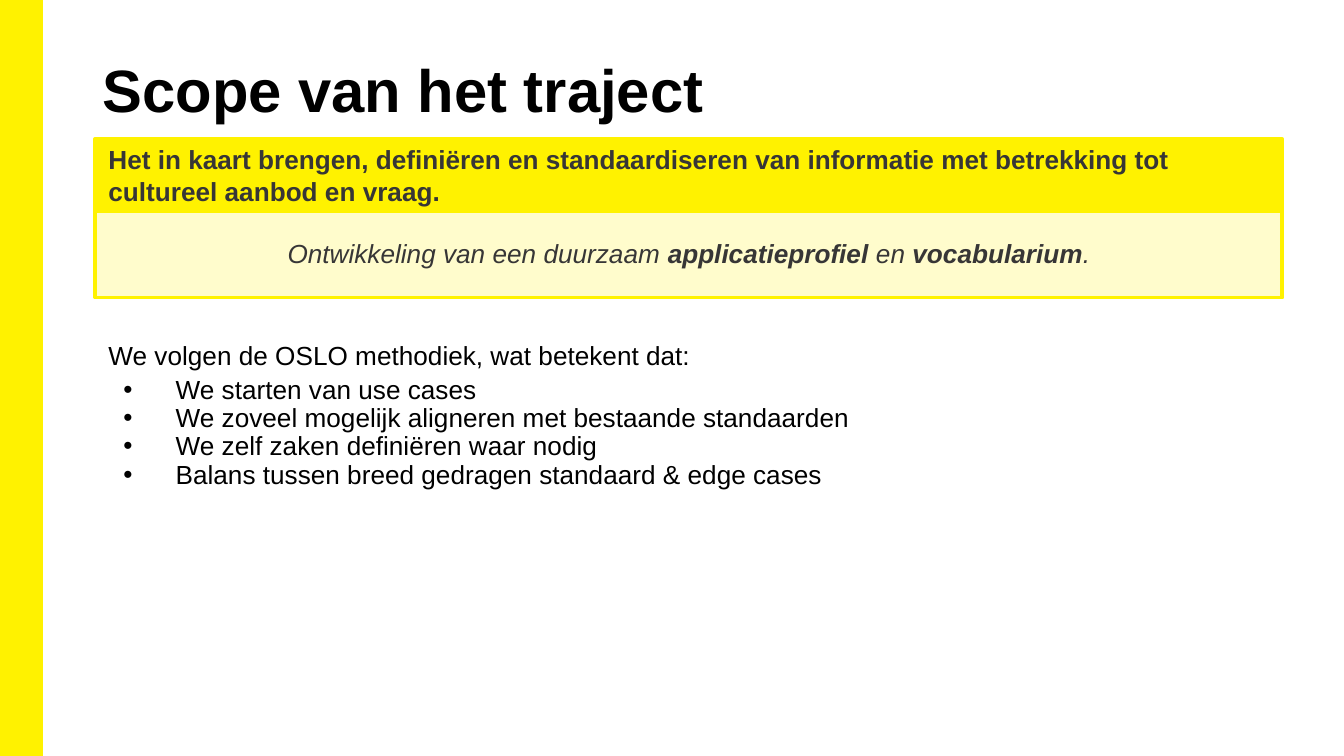
import pptx
import pptx.dml.color
import pptx.enum.shapes
import pptx.enum.text
import pptx.oxml.ns
import pptx.util
from lxml import etree

Pt = pptx.util.Pt
ALIGN = pptx.enum.text.PP_ALIGN
ANCHOR = pptx.enum.text.MSO_ANCHOR

YELLOW = "FFF200"
PALE_YELLOW = "FFFCCC"
DARK_GREY = "373636"
BLACK = "000000"


def color(value):
    return pptx.dml.color.RGBColor.from_string(value)


def format_font(font, size, text_color, bold=False, italic=False):
    font.name = "Arial"
    font.size = Pt(size)
    font.bold = bold
    font.italic = italic
    font.color.rgb = color(text_color)


def prepare_frame(shape, horizontal, vertical, anchor=ANCHOR.TOP):
    text_frame = shape.text_frame
    text_frame.word_wrap = True
    text_frame.auto_size = pptx.enum.text.MSO_AUTO_SIZE.NONE
    text_frame.vertical_anchor = anchor
    text_frame.margin_left = text_frame.margin_right = Pt(horizontal)
    text_frame.margin_top = text_frame.margin_bottom = Pt(vertical)
    return text_frame


def add_rectangle(slide, left, top, width, height, fill, line_width):
    shape = slide.shapes.add_shape(
        pptx.enum.shapes.MSO_SHAPE.RECTANGLE,
        Pt(left), Pt(top), Pt(width), Pt(height))
    shape.shadow.inherit = False
    shape.fill.solid()
    shape.fill.fore_color.rgb = color(fill)
    shape.line.color.rgb = color(YELLOW)
    shape.line.width = Pt(line_width)
    return shape


def add_bullet(paragraph):
    properties = paragraph._p.get_or_add_pPr()
    properties.set("marL", str(Pt(36)))
    properties.set("indent", str(Pt(-28)))
    bullet_color = etree.SubElement(properties, pptx.oxml.ns.qn("a:buClr"))
    etree.SubElement(bullet_color, pptx.oxml.ns.qn("a:srgbClr"), val=BLACK)
    etree.SubElement(properties, pptx.oxml.ns.qn("a:buFont"), typeface="Arial")
    etree.SubElement(properties, pptx.oxml.ns.qn("a:buChar"), char="•")


def place_title(slide, left, top, width, height):
    title = slide.shapes.title
    title.left, title.top = Pt(left), Pt(top)
    title.width, title.height = Pt(width), Pt(height)
    text_frame = prepare_frame(title, 5, 3, ANCHOR.MIDDLE)
    text_frame.text = "Scope van het traject"
    paragraph = text_frame.paragraphs[0]
    paragraph.alignment = ALIGN.LEFT
    format_font(paragraph.runs[0].font, 32, BLACK, bold=True)


def add_goal_panel(slide, left, top, width, height):
    header_height = 38.5

    # Pale lower part with the result
    add_rectangle(slide, left, top + header_height, width,
                  height - header_height, PALE_YELLOW, 2)

    # Yellow header with the goal
    header = add_rectangle(slide, left, top, width, header_height, YELLOW, 2)
    text_frame = prepare_frame(header, 7.2, 3.6, ANCHOR.MIDDLE)
    text_frame.text = ("Het in kaart brengen, definiëren en standaardiseren van "
                       "informatie met betrekking tot cultureel aanbod en vraag.")
    paragraph = text_frame.paragraphs[0]
    paragraph.alignment = ALIGN.LEFT
    format_font(paragraph.runs[0].font, 14, DARK_GREY, bold=True)

    # Result text, with the key terms in bold
    result = slide.shapes.add_textbox(
        Pt(left), Pt(top + header_height + 10.5), Pt(width), Pt(24.5))
    paragraph = prepare_frame(result, 7.2, 3.6).paragraphs[0]
    paragraph.alignment = ALIGN.CENTER
    for text, bold in (("Ontwikkeling van een duurzaam ", False),
                       ("applicatieprofiel", True),
                       (" en ", False),
                       ("vocabularium", True),
                       (".", False)):
        run = paragraph.add_run()
        run.text = text
        format_font(run.font, 14, DARK_GREY, bold=bold, italic=True)


def add_method_list(slide, left, top, width, height):
    box = slide.shapes.add_textbox(Pt(left), Pt(top), Pt(width), Pt(height))
    text_frame = prepare_frame(box, 7.2, 7.2)
    text_frame.text = "\n".join((
        "We volgen de OSLO methodiek, wat betekent dat:",
        "We starten van use cases",
        "We zoveel mogelijk aligneren met bestaande standaarden",
        "We zelf zaken definiëren waar nodig",
        "Balans tussen breed gedragen standaard & edge cases"))
    for index, paragraph in enumerate(text_frame.paragraphs):
        paragraph.line_spacing = 0.9
        paragraph.space_before = Pt(3 if index == 1 else 0)
        if index > 0:
            add_bullet(paragraph)
        format_font(paragraph.runs[0].font, 14, BLACK)


def main():
    presentation = pptx.Presentation()
    presentation.slide_width = Pt(720)
    presentation.slide_height = Pt(405)
    slide = presentation.slides.add_slide(presentation.slide_layouts[5])

    # Side band
    add_rectangle(slide, 0, 0, 22.5, 405, YELLOW, 1)

    place_title(slide, 50, 21.5, 620, 52)
    add_goal_panel(slide, 51, 74.5, 636, 85)
    add_method_list(slide, 51, 176.5, 633, 193)

    presentation.save("out.pptx")


if __name__ == "__main__":
    main()
